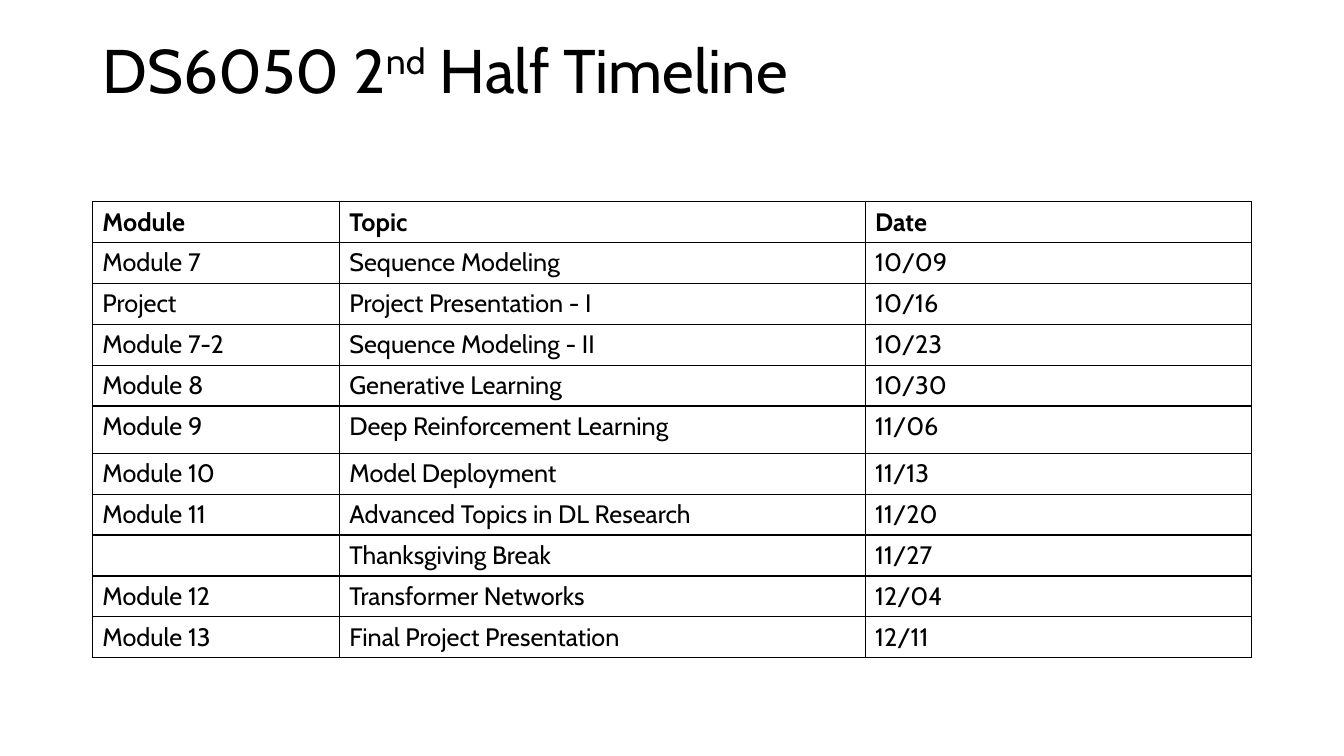
from lxml import etree
from pptx import Presentation
from pptx import util as u
from pptx.dml.color import RGBColor
from pptx.enum import text
from pptx.oxml import ns

BLACK = RGBColor(0x00, 0x00, 0x00)
WHITE = RGBColor(0xFF, 0xFF, 0xFF)

TITLE = [("DS6050 2", 0), ("nd", 30), (" Half Timeline", 0)]
TIMELINE = [
    ("Module", "Topic", "Date"),
    ("Module 7", "Sequence Modeling", "10/09"),
    ("Project", "Project Presentation - I", "10/16"),
    ("Module 7-2", "Sequence Modeling - II", "10/23"),
    ("Module 8", "Generative Learning", "10/30"),
    ("Module 9", "Deep Reinforcement Learning", "11/06"),
    ("Module 10", "Model Deployment", "11/13"),
    ("Module 11", "Advanced Topics in DL Research", "11/20"),
    ("", "Thanksgiving Break", "11/27"),
    ("Module 12", "Transformer Networks", "12/04"),
    ("Module 13", "Final Project Presentation", "12/11"),
]
COLUMN_SPANS = (29.4, 62.6, 46)
ROW_SPAN = 4.87
TALL_ROWS = {"Module 9": 5.64}


class Deck:
    """Holds the style and current slide on a grid of 160 columns by 90 rows."""

    columns, rows = 160, 90
    font = {"name": "Cabin", "size": u.Pt(18), "bold": False}

    def __init__(self):
        self.show = Presentation()
        self.show.slide_width = u.Inches(13.333)
        self.show.slide_height = u.Inches(7.5)
        self.slide = self.show.slides.add_slide(self.show.slide_layouts[5])
        self.slide.background.fill.solid()
        self.slide.background.fill.fore_color.rgb = WHITE

    def across(self, count):
        return round(self.show.slide_width * count / self.columns)

    def down(self, count):
        return round(self.show.slide_height * count / self.rows)

    def box(self, left, top, width, height):
        return (self.across(left), self.down(top),
                self.across(width), self.down(height))

    def add_wording(self, paragraph, wording, **changes):
        run = paragraph.add_run()
        run.text = wording
        for name, value in {**self.font, **changes}.items():
            setattr(run.font, name, value)
        run.font.color.rgb = BLACK
        return run

    def title(self, parts, *place):
        heading = self.slide.shapes.title
        for name, value in zip(("left", "top", "width", "height"), self.box(*place)):
            setattr(heading, name, value)
        frame = heading.text_frame
        layout = {"word_wrap": True, "auto_size": text.MSO_AUTO_SIZE.NONE,
                  "vertical_anchor": text.MSO_ANCHOR.MIDDLE}
        for name, value in layout.items():
            setattr(frame, name, value)
        line = frame.paragraphs[0]
        line.alignment = text.PP_ALIGN.LEFT
        line.line_spacing = 0.9
        for wording, raised in parts:
            run = self.add_wording(line, wording, size=u.Pt(44))
            if raised:
                run.font._element.set("baseline", str(raised * 1000))

    def border(self, cell):
        properties = cell._tc.get_or_add_tcPr()
        for side in ("lnL", "lnR", "lnT", "lnB"):
            edge = etree.SubElement(properties, ns.qn(f"a:{side}"), w=str(u.Pt(1)))
            fill = etree.SubElement(edge, ns.qn("a:solidFill"))
            etree.SubElement(fill, ns.qn("a:srgbClr"), val=str(BLACK))

    def table(self, entries, left, top, column_spans, row_spans):
        place = self.box(left, top, sum(column_spans), sum(row_spans))
        table = self.slide.shapes.add_table(
            len(entries), len(column_spans), *place).table
        table.horz_banding = table.first_row = False
        for column, span in zip(table.columns, column_spans):
            column.width = self.across(span)
        for index, (row, span) in enumerate(zip(table.rows, row_spans)):
            row.height = self.down(span)
            for cell, wording in zip(row.cells, entries[index]):
                self.border(cell)
                cell.fill.background()
                if wording:
                    self.add_wording(cell.text_frame.paragraphs[0], wording,
                                     bold=index == 0)


def main():
    deck = Deck()
    deck.title(TITLE, 11, 0, 138, 17.4)
    row_spans = [TALL_ROWS.get(module, ROW_SPAN) for module, _, _ in TIMELINE]
    deck.table(TIMELINE, 11, 24, COLUMN_SPANS, row_spans)
    deck.show.save("out.pptx")


if __name__ == "__main__":
    main()
